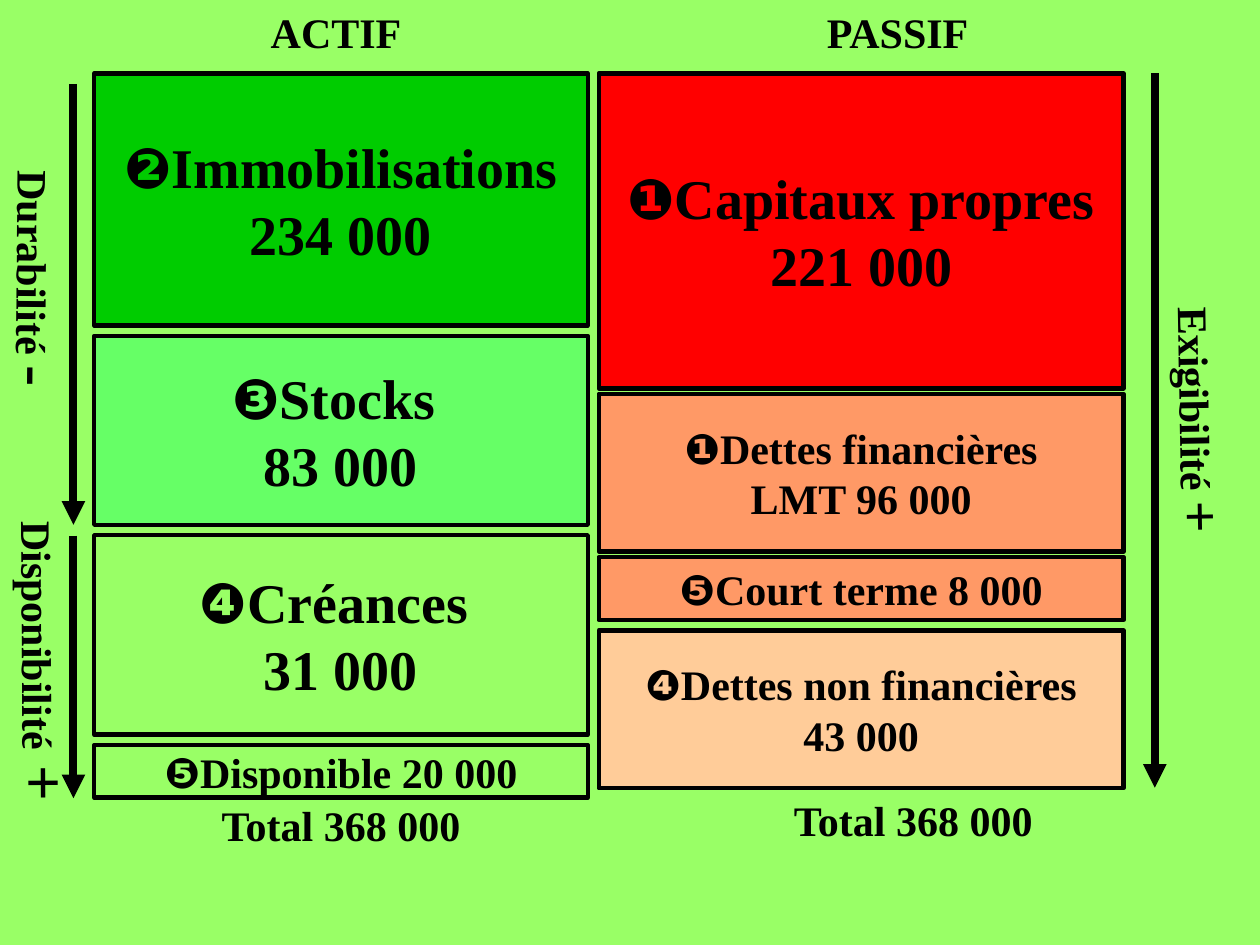
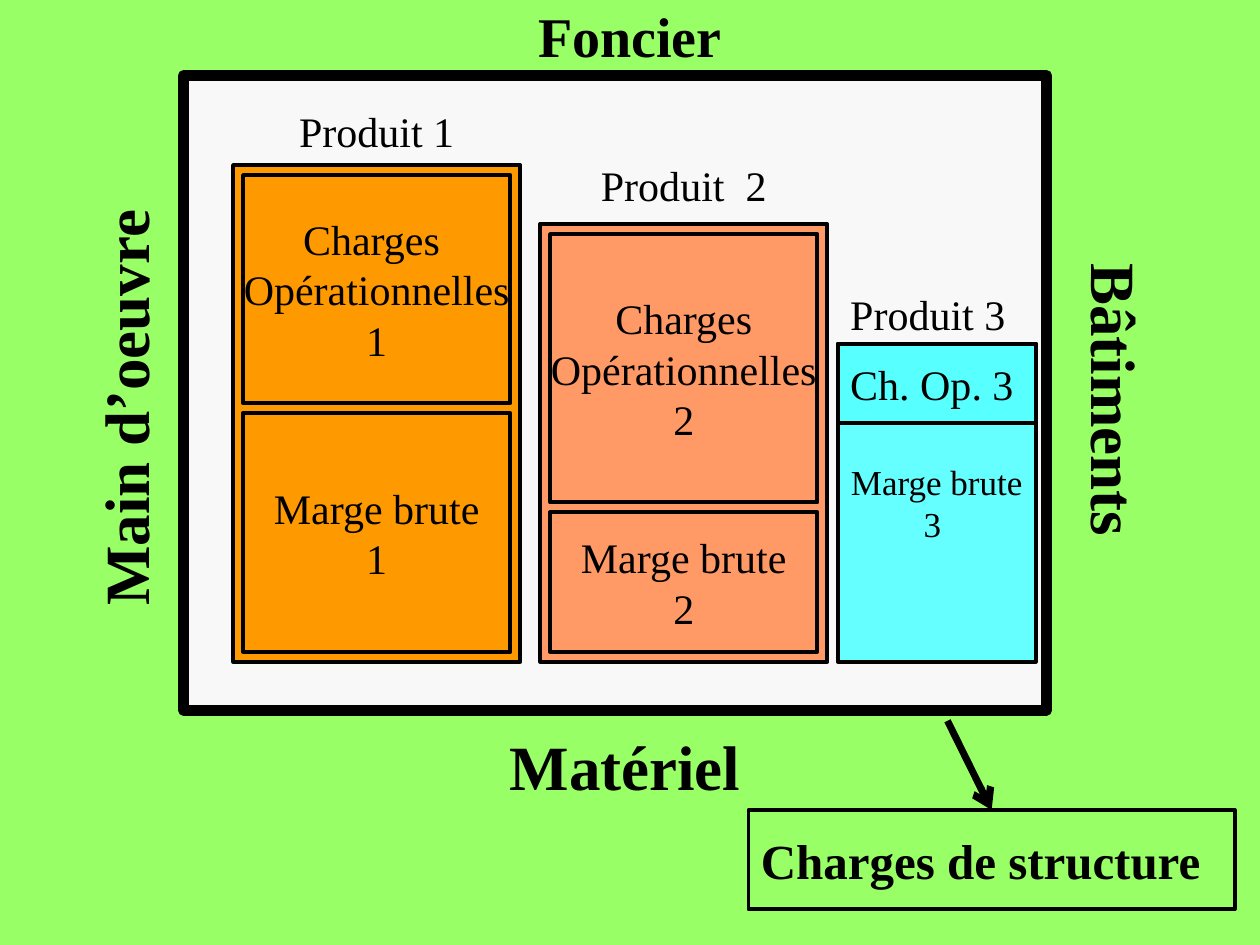
from lxml import etree
from pptx import Presentation
from pptx.dml.color import RGBColor
from pptx.enum.shapes import MSO_CONNECTOR, MSO_SHAPE
from pptx.enum.text import MSO_ANCHOR, PP_ALIGN
from pptx.oxml.ns import qn
from pptx.util import Cm, Pt

RECT = MSO_SHAPE.RECTANGLE
STRAIGHT = MSO_CONNECTOR.STRAIGHT
MIDDLE = MSO_ANCHOR.MIDDLE
LEFT, CENTER = PP_ALIGN.LEFT, PP_ALIGN.CENTER

BLACK = RGBColor(0x00, 0x00, 0x00)
LIME = RGBColor(0x99, 0xFF, 0x66)
GREEN = RGBColor(0x00, 0xCC, 0x00)
MINT = RGBColor(0x66, 0xFF, 0x66)
RED = RGBColor(0xFF, 0x00, 0x00)
CORAL = RGBColor(0xFF, 0x99, 0x66)
PEACH = RGBColor(0xFF, 0xCC, 0x99)
ORANGE = RGBColor(0xFF, 0x99, 0x00)
PALE = RGBColor(0xF8, 0xF8, 0xF8)
CYAN = RGBColor(0x66, 0xFF, 0xFF)
AQUA = RGBColor(0x58, 0xFF, 0xFF)

FONT, MARK_FONT = "Times New Roman", "Arial"
MARKS = "❶❷❸❹❺"

# Height, gap below, fill, text size, lines
ASSETS = [
    (5.08, 0.21, GREEN, 32, ["❷Immobilisations", "234 000"]),
    (3.81, 0.21, MINT, 32, ["❸Stocks ", "83 000"]),
    (4.02, 0.21, LIME, 32, ["❹Créances ", "31 000"]),
    (1.06, 0, LIME, 24, ["❺Disponible 20 000"]),
]
DEBTS = [
    (6.35, 0.11, RED, 32, ["❶Capitaux propres", "221 000"]),
    (3.18, 0.11, CORAL, 24, ["❶Dettes financières", "LMT 96 000"]),
    (1.27, 0.21, CORAL, 24, ["❺Court terme 8 000"]),
    (3.18, 0, PEACH, 24, ["❹Dettes non financières", "43 000"]),
]
STACKS = [(1.9, 9.95, ASSETS), (12.07, 10.58, DEBTS)]
STACK_TOP = 1.48

# Box, turn, text size, lines
SHEET_TEXT = [
    ((2.54, 0, 8.47, 1.27), 0, 24, ["ACTIF"]),
    ((15.45, 0, 5.29, 1.27), 0, 24, ["PASSIF"]),
    ((1.9, 16.09, 9.95, 1.06), 0, 24, ["Total 368 000"]),
    ((13.12, 16.09, 10.58, 0.85), 0, 24, ["Total 368 000"]),
    ((-3.07, 5.19, 7.83, 0.85), 90.5, 24, [[("Durabilité ", 24), ("-", 36)]]),
    ((-2.86, 12.8, 7.62, 1.06), 89.7, 24, [[("Disponibilité", 24), (" +", 36)]]),
    ((18.52, 7.94, 11.43, 1.06), 89, 24, [[("Exigibilité ", 24), ("+", 32)]]),
]
SCALES = [(1.48, 1.69, 10.58), (1.48, 10.8, 16.09), (23.28, 1.48, 15.88)]

FRAME_TEXT = [
    ((6.3, 0, 12.8, 1.4), 0, 32, ["Foncier"]),
    ((16.36, 7.26, 12.29, 1.6), 90, 36, ["Bâtiments"]),
    ((5.9, 14.93, 13.4, 1), 0, 36, ["Matériel"]),
    ((-4.2, 7.62, 13.4, 1.2), 270, 36, ["Main d’oeuvre"]),
]
# Top, height of charges, fill, name, name box, charges, margin
GOODS = [
    (3.33, 4.6, ORANGE, "Produit 1", (2.13, 1),
     ["Charges ", "Opérationnelles", "1"], ["Marge brute", "1"]),
    (4.52, 5.41, CORAL, "Produit  2", (2.92, 1.6),
     ["Charges", "Opérationnelles", "2"], ["Marge brute", "2"]),
]
GOOD_LEFT, GOOD_WIDE, GOOD_GAP = 4.7, 5.79, 0.4
BASE, INSET = 13.34, 0.2
LAST_LEFT, LAST_TOP, LAST_WIDE = 16.89, 6.93, 3.99


def runs_of(line, size):
    if isinstance(line, list):
        return line
    if line[0] in MARKS:
        return [(line[0], size), (line[1:], size)]
    return [(line, size)]


def write(shape, lines, size, bold=False, align=CENTER):
    frame = shape.text_frame
    frame.word_wrap = False
    frame.vertical_anchor = MIDDLE
    for num, line in enumerate(lines):
        para = frame.add_paragraph() if num else frame.paragraphs[0]
        para.alignment = align
        for text, points in runs_of(line, size):
            run = para.add_run()
            run.text = text
            font = run.font
            font.name = MARK_FONT if text in MARKS else FONT
            font.size = Pt(points)
            font.bold = bold
            font.color.rgb = BLACK


def add_box(slide, place, fill, weight=2.25):
    box = slide.shapes.add_shape(RECT, *map(Cm, place))
    box.shadow.inherit = False
    if fill is None:
        box.fill.background()
    else:
        box.fill.solid()
        box.fill.fore_color.rgb = fill
    box.line.color.rgb = BLACK
    box.line.width = Pt(weight)
    return box


def add_text(slide, place, lines, size, bold=False, align=CENTER, turn=0):
    box = slide.shapes.add_textbox(*map(Cm, place))
    box.rotation = turn
    write(box, lines, size, bold, align)


def add_arrow(slide, ends, weight, head):
    arrow = slide.shapes.add_connector(STRAIGHT, *map(Cm, ends))
    arrow.line.color.rgb = BLACK
    arrow.line.width = Pt(weight)
    etree.SubElement(arrow.line._get_or_add_ln(), qn("a:tailEnd"), type=head)
    etree.SubElement(arrow._element.spPr, qn("a:effectLst"))
    return arrow


def add_signs(slide, signs):
    for place, turn, size, lines in signs:
        add_text(slide, place, lines, size, True, turn=turn)


def build_sheet(slide):
    for left, wide, parts in STACKS:
        top = STACK_TOP
        for high, gap, fill, size, lines in parts:
            box = add_box(slide, (left, top, wide, high), fill, 2.5)
            write(box, lines, size, True)
            top += high + gap
    for x, start, end in SCALES:
        add_arrow(slide, (x, start, x, end), 4.5, "triangle")
    add_signs(slide, SHEET_TEXT)


def build_frame(slide):
    add_box(slide, (3.7, 1.52, 17.4, 12.8), PALE, 6)
    add_signs(slide, FRAME_TEXT)

    costs = add_box(slide, (15.09, 16.33, 9.8, 2), None)
    write(costs, ["Charges de structure"], 28, True, LEFT)
    arrow = add_arrow(slide, (19.1, 14.53, 19.99, 16.33), 4, "arrow")
    arrow.end_connect(costs, 0)

    for num, (top, high, fill, name, (y, tall), charges, margin) in enumerate(GOODS):
        left = GOOD_LEFT + num * (GOOD_WIDE + GOOD_GAP)
        add_box(slide, (left, top, GOOD_WIDE, BASE - top), fill)
        add_text(slide, (left, y, GOOD_WIDE, tall), [name], 24)
        inner, wide = left + INSET, GOOD_WIDE - 2 * INSET
        split = top + 2 * INSET + high
        rows = [(top + INSET, high, charges),
                (split, BASE - INSET - split, margin)]
        for start, deep, lines in rows:
            write(add_box(slide, (inner, start, wide, deep), fill), lines, 24)

    last = add_box(slide, (LAST_LEFT, LAST_TOP, LAST_WIDE, BASE - LAST_TOP), CYAN)
    write(last, ["Marge brute", "3 "], 20)
    add_text(slide, (LAST_LEFT, 5.92, LAST_WIDE, 0.79), ["Produit 3"], 24, align=LEFT)
    part = add_box(slide, (LAST_LEFT, LAST_TOP, LAST_WIDE, 1.6), AQUA)
    write(part, ["Ch. Op. 3"], 24, align=LEFT)


def main():
    deck = Presentation()
    deck.slide_width, deck.slide_height = Cm(25.4), Cm(19.05)
    ground = deck.slide_master.background.fill
    ground.solid()
    ground.fore_color.rgb = LIME
    blank = deck.slide_layouts[6]
    for build in (build_sheet, build_frame):
        build(deck.slides.add_slide(blank))
    deck.save("out.pptx")


if __name__ == "__main__":
    main()
